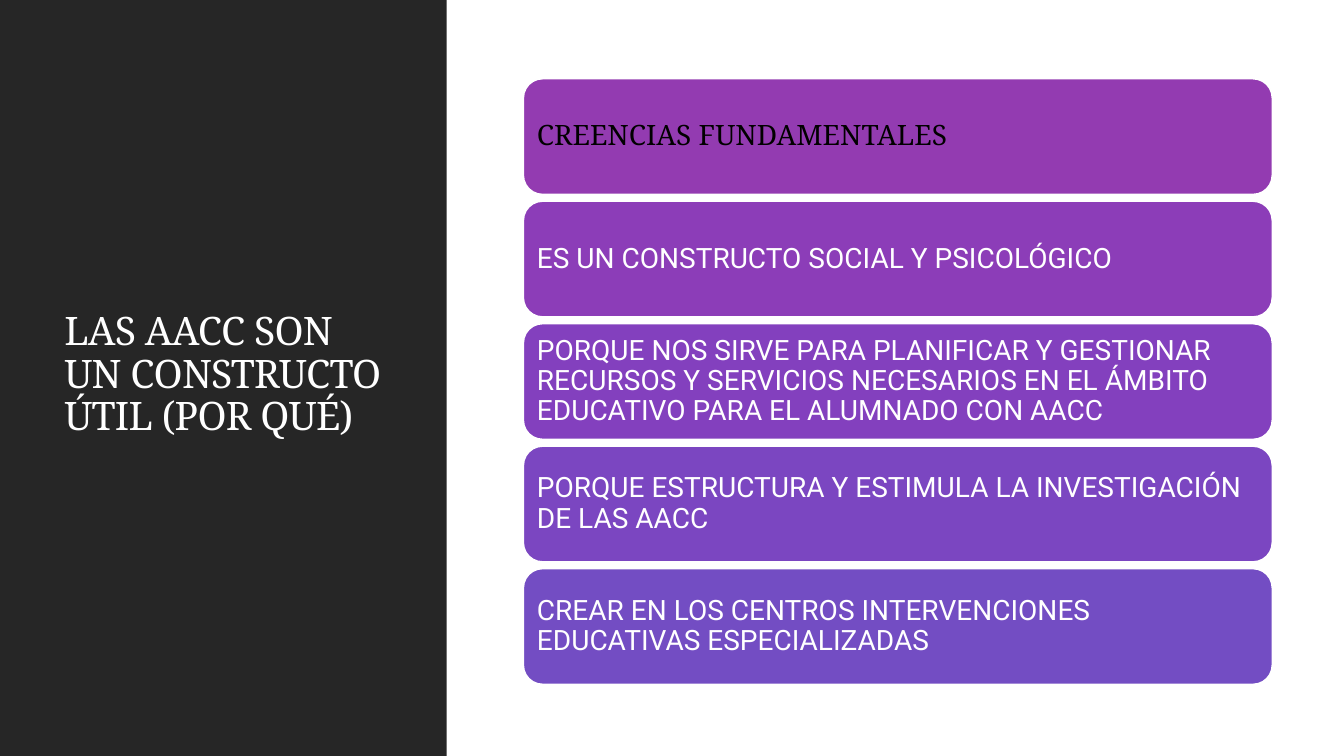
from pptx import Presentation
from pptx.dml.color import RGBColor
from pptx.enum import shapes, text
from pptx.util import Inches, Pt

DARK = RGBColor(0x26, 0x26, 0x26)
WHITE = RGBColor(0xFF, 0xFF, 0xFF)
BLACK = RGBColor(0x01, 0x00, 0x00)
SERIF, SANS = "Noto Serif", "Roboto"

TITLE = "LAS AACC SON UN CONSTRUCTO ÚTIL\u00a0(POR QUÉ)"

# Card wording, fill, font and text colour
CARDS = [
    ("CREENCIAS FUNDAMENTALES",
     RGBColor(0x93, 0x3B, 0xB1), SERIF, BLACK),
    ("ES UN CONSTRUCTO SOCIAL Y PSICOLÓGICO",
     RGBColor(0x8C, 0x3D, 0xB8), SANS, WHITE),
    ("PORQUE NOS SIRVE PARA PLANIFICAR Y GESTIONAR RECURSOS Y SERVICIOS "
     "NECESARIOS EN EL ÁMBITO EDUCATIVO PARA EL ALUMNADO CON AACC",
     RGBColor(0x83, 0x40, 0xBE), SANS, WHITE),
    ("PORQUE ESTRUCTURA Y ESTIMULA LA INVESTIGACIÓN DE LAS AACC",
     RGBColor(0x7B, 0x46, 0xC1), SANS, WHITE),
    ("CREAR EN LOS CENTROS INTERVENCIONES EDUCATIVAS ESPECIALIZADAS",
     RGBColor(0x73, 0x4D, 0xC3), SANS, WHITE),
]
LEFT, TOP, BOTTOM = 5.19, 0.78, 6.79
WIDTH, HEIGHT = 7.43, 1.15


def put_text(shape, words, *, size, font, color, inset=None, after=0, track=0):
    frame = shape.text_frame
    frame.word_wrap = True
    frame.vertical_anchor = text.MSO_ANCHOR.MIDDLE
    if inset is not None:
        frame.margin_left = frame.margin_right = Inches(inset)
        frame.margin_top = frame.margin_bottom = Inches(inset)
    para = frame.paragraphs[0]
    para.alignment = text.PP_ALIGN.LEFT
    para.line_spacing = 0.9
    para.space_after = Pt(after)
    run = para.add_run()
    run.text = words
    run.font.size = Pt(size)
    run.font.name = font
    run.font.color.rgb = color
    if track:
        run.font._element.set("spc", str(int(track * 100)))


def add_box(slide, kind, left, top, width, height, fill, line=None):
    box = slide.shapes.add_shape(
        kind, Inches(left), Inches(top), Inches(width), Inches(height))
    box.shadow.inherit = False
    box.fill.solid()
    box.fill.fore_color.rgb = fill
    if line is None:
        box.line.fill.background()
    else:
        box.line.color.rgb = line
        box.line.width = Pt(1.25)
    return box


def add_title(slide):
    box = slide.shapes.add_textbox(
        Inches(0.54), Inches(0.57), Inches(3.37), Inches(6.31))
    put_text(box, TITLE, size=28, font=SERIF, color=WHITE, track=-0.5)


def add_cards(slide):
    step = (BOTTOM - TOP - HEIGHT) / (len(CARDS) - 1)
    for i, (words, fill, font, color) in enumerate(CARDS):
        card = add_box(slide, shapes.MSO_SHAPE.ROUNDED_RECTANGLE,
                       LEFT, TOP + i * step, WIDTH, HEIGHT, fill, WHITE)
        put_text(card, words, size=20, font=font, color=color,
                 inset=0.08, after=7)


def main():
    deck = Presentation()
    deck.slide_width, deck.slide_height = Inches(13.33), Inches(7.5)
    slide = deck.slides.add_slide(deck.slide_layouts[6])
    slide.background.fill.solid()
    slide.background.fill.fore_color.rgb = WHITE

    # Dark side panel with the title
    add_box(slide, shapes.MSO_SHAPE.RECTANGLE, 0, 0, 4.43, 7.5, DARK)
    add_title(slide)

    # Stack of reasons
    add_cards(slide)
    deck.save("out.pptx")


main()
